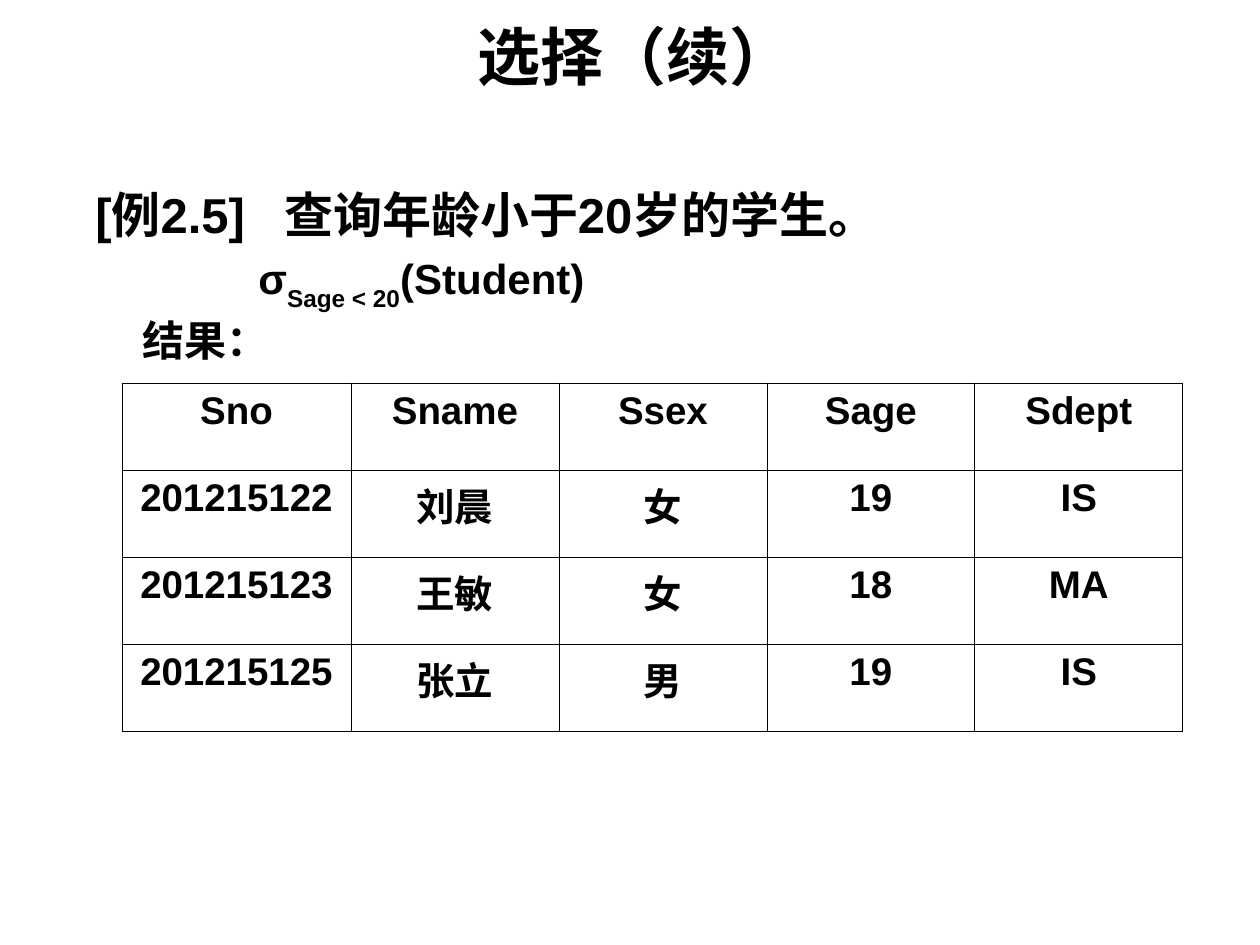
from lxml import etree
from pptx import Presentation
from pptx.dml.color import RGBColor
from pptx.enum.text import MSO_ANCHOR, PP_ALIGN
from pptx.oxml.ns import qn
from pptx.util import Pt

EMU_PER_PX = 914400 // 126
BLACK = RGBColor(0, 0, 0)
FONT = "Arial"
CENTER, LEFT = PP_ALIGN.CENTER, PP_ALIGN.LEFT
MIDDLE, TOP = MSO_ANCHOR.MIDDLE, MSO_ANCHOR.TOP

STUDENTS = [
    ["Sno", "Sname", "Ssex", "Sage", "Sdept"],
    ["201215122", "刘晨", "女", "19", "IS"],
    ["201215123", "王敏", "女", "18", "MA"],
    ["201215125", "张立", "男", "19", "IS"],
]
COL_WIDTHS = [229, 208, 208, 208, 208]
TABLE_HEIGHT = 349


def px(n):
    return n * EMU_PER_PX


def add_run(p, text, size, baseline=None):
    r = p.add_run()
    r.text = text
    r.font.name = FONT
    r.font.size = Pt(size)
    r.font.bold = True
    r.font.color.rgb = BLACK
    if baseline is not None:
        r.font._element.set("baseline", str(baseline * 1000))


def add_textbox(s, x, y, w, h, anchor):
    tf = s.shapes.add_textbox(px(x), px(y), px(w), px(h)).text_frame
    tf.word_wrap = True
    tf.vertical_anchor = anchor
    tf.margin_top = tf.margin_bottom = 0
    return tf


def format_paragraph(p, indent=0, space_before=0, tab=None):
    p.alignment = LEFT
    p.space_before = Pt(space_before)
    pPr = p._p.get_or_add_pPr()
    pPr.set("marL", str(px(indent)))
    pPr.set("indent", "0")
    if tab is not None:
        tabs = etree.SubElement(pPr, qn("a:tabLst"))
        etree.SubElement(tabs, qn("a:tab"), pos=str(px(tab)), algn="l")


def add_title(s):
    p = add_textbox(s, 126, 16, 1018, 78, MIDDLE).paragraphs[0]
    p.alignment = CENTER
    add_run(p, "选择（续）", 36)


def add_example(s):
    tf = add_textbox(s, 83, 185, 1133, 210, TOP)
    p = tf.paragraphs[0]
    format_paragraph(p, tab=212)
    add_run(p, "[例2.5]\t查询年龄小于20岁的学生。", 28)

    p = tf.add_paragraph()
    format_paragraph(p, indent=163, space_before=5)
    add_run(p, "σ", 24)
    add_run(p, "Sage < 20", 24, baseline=-30)
    add_run(p, "(Student)", 24)

    p = tf.add_paragraph()
    format_paragraph(p, indent=47, space_before=1.5)
    add_run(p, "结果：", 24)


def set_borders(cell):
    tcPr = cell._tc.get_or_add_tcPr()
    for side in ("lnL", "lnR", "lnT", "lnB"):
        ln = etree.SubElement(tcPr, qn(f"a:{side}"), w=str(Pt(0.45)))
        fill = etree.SubElement(ln, qn("a:solidFill"))
        etree.SubElement(fill, qn("a:srgbClr"), val=str(BLACK))


def add_student_table(s):
    table = s.shapes.add_table(
        len(STUDENTS), len(COL_WIDTHS), px(122), px(383),
        px(sum(COL_WIDTHS)), px(TABLE_HEIGHT)).table
    table.first_row = table.horz_banding = False
    for column, width in zip(table.columns, COL_WIDTHS):
        column.width = px(width)
    for row, values in zip(table.rows, STUDENTS):
        row.height = px(TABLE_HEIGHT) // len(STUDENTS)
        for cell, value in zip(row.cells, values):
            set_borders(cell)
            cell.fill.background()
            p = cell.text_frame.paragraphs[0]
            p.alignment = CENTER
            add_run(p, value, 22)


def main():
    prs = Presentation()
    prs.slide_width, prs.slide_height = px(1260), px(945)
    s = prs.slides.add_slide(prs.slide_layouts[6])
    add_title(s)
    add_example(s)
    add_student_table(s)
    prs.save("out.pptx")


if __name__ == "__main__":
    main()
